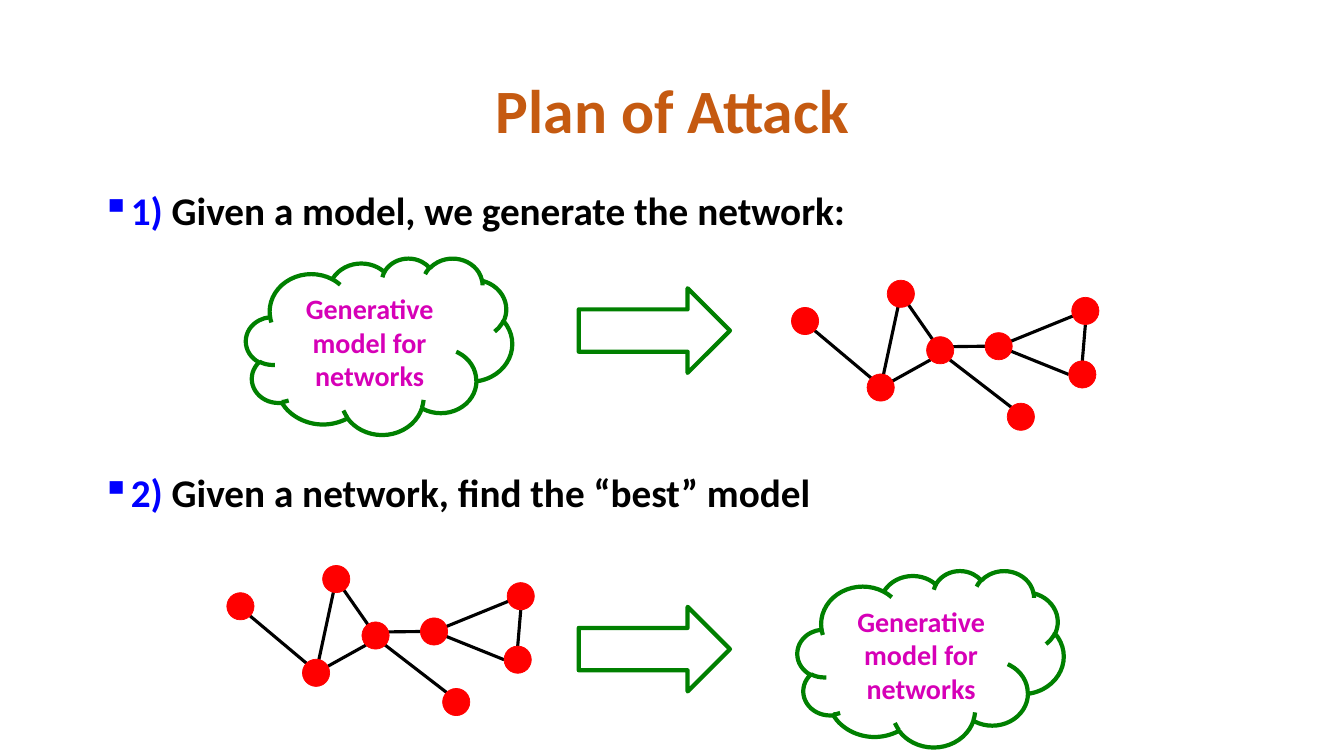
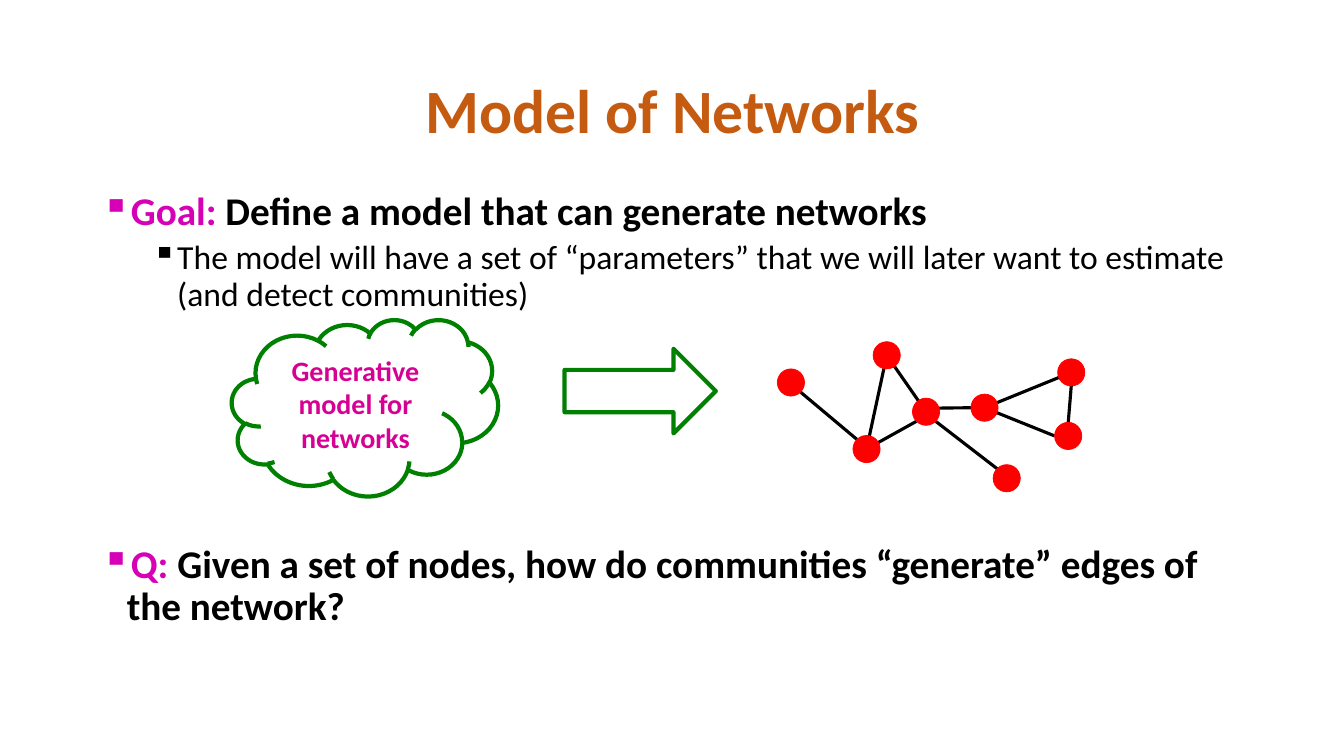
from lxml.etree import SubElement
from pptx import Presentation
from pptx.dml.color import RGBColor
from pptx.enum.shapes import MSO_CONNECTOR, MSO_SHAPE
from pptx.enum.text import MSO_ANCHOR, PP_ALIGN
from pptx.oxml.ns import qn
from pptx.util import Inches, Pt

FONT = "Calibri"
BLACK = RGBColor(0x00, 0x00, 0x00)
RED = RGBColor(0xFF, 0x00, 0x00)
BLUE = RGBColor(0x00, 0x00, 0xFF)
GREEN = RGBColor(0x00, 0x80, 0x00)
ORANGE = RGBColor(0xC5, 0x5A, 0x11)
MAGENTA = RGBColor(0xD6, 0x00, 0xB7)
PINK = RGBColor(0xD6, 0x00, 0x93)

NODE_SIZE = 0.27
# Top left corner of each node, from the top left of the network
NODES = {
    "A": (0, 0.27), "B": (0.95, 0), "C": (0.75, 0.93), "D": (1.34, 0.56),
    "E": (1.92, 0.52), "F": (2.78, 0.17), "G": (2.75, 0.8), "H": (2.14, 1.22),
}
# Where an edge meets a node, as fractions of the node's size
CENTRE = (0.5, 0.5)
TOP = (0.5, 0)
BOTTOM = (0.5, 1)
LEFT = (0, 0.5)
UPPER_LEFT = (0.15, 0.15)
LOWER_LEFT = (0.15, 0.85)
LOWER_RIGHT = (0.85, 0.85)
RIGHT_OF_CENTRE = (0.67, 0.37)
EDGES = [
    ("G", TOP, "F", BOTTOM),
    ("A", LOWER_RIGHT, "C", UPPER_LEFT),
    ("C", CENTRE, "B", CENTRE),
    ("E", CENTRE, "F", CENTRE),
    ("E", CENTRE, "G", LEFT),
    ("D", RIGHT_OF_CENTRE, "E", LEFT),
    ("D", LOWER_RIGHT, "H", UPPER_LEFT),
    ("D", CENTRE, "B", CENTRE),
    ("C", CENTRE, "D", LOWER_LEFT),
]


def style_run(run, size, color, bold=True):
    font = run.font
    font.name, font.size, font.bold = FONT, Pt(size), bold
    font.color.rgb = color


def add_text_frame(slide, left, top, width, height):
    box = slide.shapes.add_textbox(Inches(left), Inches(top), Inches(width), Inches(height))
    box.text_frame.word_wrap = True
    return box.text_frame


def add_title(slide, title):
    frame = add_text_frame(slide, 0.92, 0.4, 11.5, 1.45)
    frame.vertical_anchor = MSO_ANCHOR.MIDDLE
    frame.text = title
    paragraph = frame.paragraphs[0]
    paragraph.alignment = PP_ALIGN.CENTER
    paragraph.line_spacing = 0.9
    style_run(paragraph.runs[0], 44, ORANGE)


def add_body(slide):
    return add_text_frame(slide, 0.91, 1.85, 11.5, 5.37)


def add_bullet(body, parts, level=0, size=28, bold=True, space_before=10):
    """Append a bullet made of (text, colour) parts; the first fills the empty paragraph."""
    first = body.paragraphs[0]
    paragraph = body.add_paragraph() if first.runs else first
    paragraph.level = level
    paragraph.line_spacing = 0.9
    paragraph.space_before = Pt(space_before)
    for text, color in parts:
        run = paragraph.add_run()
        run.text = text
        style_run(run, size, color, bold)
    properties = paragraph._p.get_or_add_pPr()
    properties.set("marL", str(Inches(0.25 + 0.5 * level)))
    properties.set("indent", str(Inches(-0.25)))
    SubElement(properties, qn("a:buChar"), char="▪")


def add_outline(slide, preset, left, top, width, height):
    shape = slide.shapes.add_shape(
        preset, Inches(left), Inches(top), Inches(width), Inches(height))
    shape.shadow.inherit = False
    shape.fill.background()
    shape.line.color.rgb = GREEN
    shape.line.width = Pt(3)
    return shape


def add_arrow(slide, left, top):
    add_outline(slide, MSO_SHAPE.RIGHT_ARROW, left, top, 1.5, 0.84)


def add_model_cloud(slide, left, top, color=MAGENTA):
    frame = add_outline(slide, MSO_SHAPE.CLOUD, left, top, 2.64, 1.75).text_frame
    frame.word_wrap = True
    frame.vertical_anchor = MSO_ANCHOR.MIDDLE
    frame.text = "Generative model for networks"
    paragraph = frame.paragraphs[0]
    paragraph.alignment = PP_ALIGN.CENTER
    style_run(paragraph.runs[0], 20, color)


def add_edge(network, start, end):
    edge = network.shapes.add_connector(MSO_CONNECTOR.STRAIGHT, *start, *end)
    edge.line.color.rgb = BLACK
    edge.line.width = Pt(2.25)
    SubElement(edge._element.spPr, qn("a:effectLst"))


def add_node(network, left, top):
    node = network.shapes.add_shape(
        MSO_SHAPE.OVAL, left, top, Inches(NODE_SIZE), Inches(NODE_SIZE))
    node.shadow.inherit = False
    node.fill.solid()
    node.fill.fore_color.rgb = RED
    node.line.color.rgb = RED
    node.line.width = Pt(0.5)


def add_network(slide, left, top):
    network = slide.shapes.add_group_shape()

    def point(name, anchor=(0, 0)):
        x, y = NODES[name]
        return (Inches(left + x + anchor[0] * NODE_SIZE),
                Inches(top + y + anchor[1] * NODE_SIZE))

    for start, start_anchor, end, end_anchor in EDGES:
        add_edge(network, point(start, start_anchor), point(end, end_anchor))
    for name in NODES:
        add_node(network, *point(name))


def add_slide(presentation, title):
    slide = presentation.slides.add_slide(presentation.slide_layouts[6])
    add_title(slide, title)
    return slide


def build_plan(presentation):
    slide = add_slide(presentation, "Plan of Attack")
    body = add_body(slide)
    add_bullet(body, [("1) ", BLUE), ("Given a model, we generate the network:", BLACK)])
    add_bullet(body, [("2) ", BLUE), ("Given a network, find the “best” model", BLACK)],
               space_before=171)
    add_model_cloud(slide, 2.44, 2.56)
    add_arrow(slide, 5.74, 2.86)
    add_network(slide, 7.85, 2.78)
    add_network(slide, 2.25, 5.61)
    add_arrow(slide, 5.74, 6.02)
    add_model_cloud(slide, 7.91, 5.66)


def build_model(presentation):
    slide = add_slide(presentation, "Model of Networks")
    body = add_body(slide)
    add_bullet(body, [("Goal: ", MAGENTA), ("Define a model that can generate networks", BLACK)])
    add_bullet(body, [("The model will have a set of “parameters” that we will later want "
                       "to estimate (and detect communities)", BLACK)],
               level=1, size=24, bold=False, space_before=5)
    add_bullet(body, [("Q: ", MAGENTA),
                      ("Given a set of nodes, how do communities “generate” edges of "
                       "the network?", BLACK)], space_before=165)
    add_model_cloud(slide, 2.3, 3.17, PINK)
    add_arrow(slide, 5.6, 3.46)
    add_network(slide, 7.71, 3.39)


def main():
    presentation = Presentation()
    presentation.slide_width = Inches(13.33)
    presentation.slide_height = Inches(7.5)
    build_plan(presentation)
    build_model(presentation)
    presentation.save("out.pptx")


if __name__ == "__main__":
    main()
